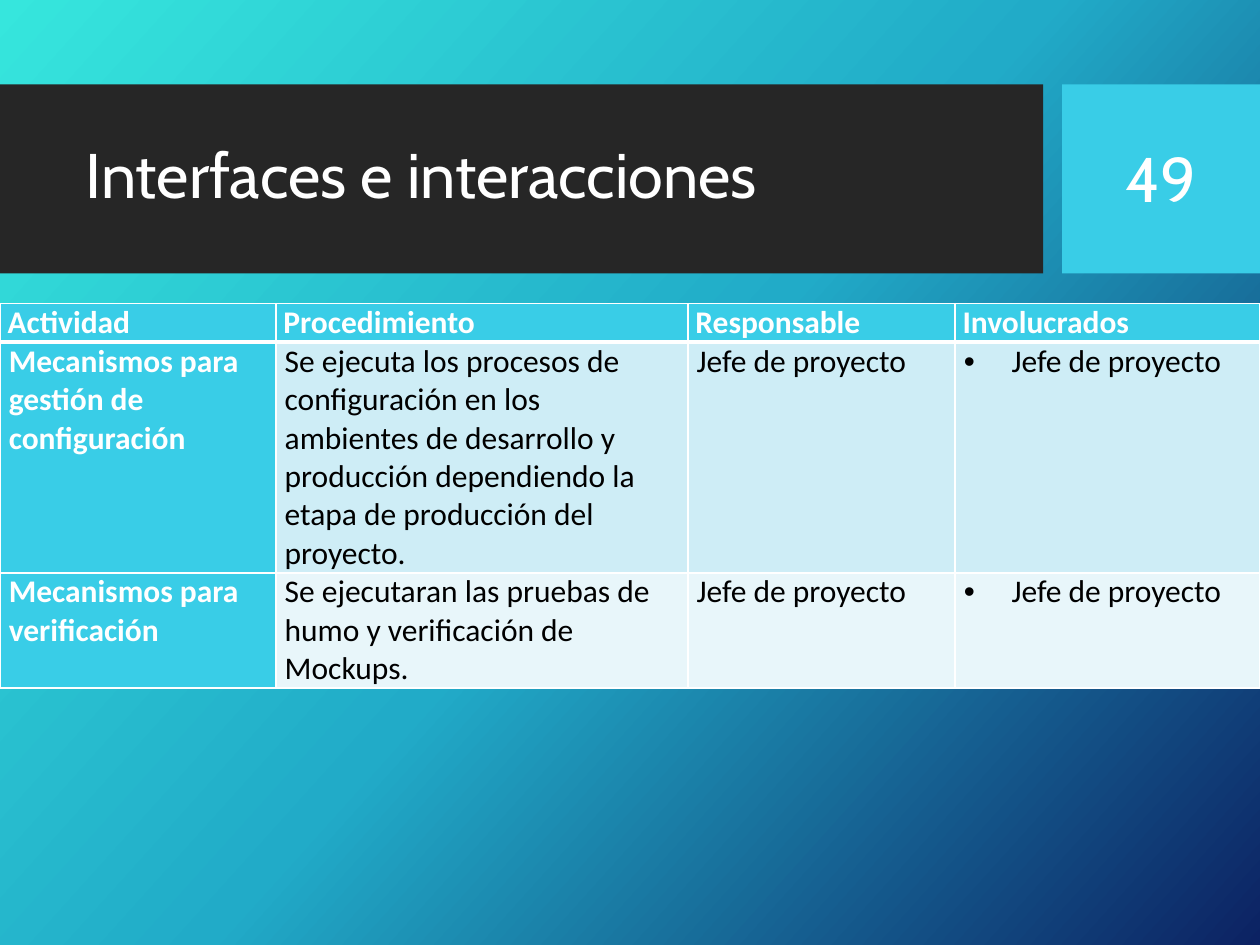
import copy
import lxml.etree
import pptx
import pptx.util
import pptx.dml.color
import pptx.enum.shapes
import pptx.enum.text
import pptx.oxml
import pptx.oxml.ns

INCH = pptx.util.Inches
qn = pptx.oxml.ns.qn
MID = pptx.enum.text.MSO_ANCHOR.MIDDLE
ALIGN = pptx.enum.text.PP_ALIGN
HUE = {"aqua": "36E6DD", "teal": "21ABC8", "navy": "0C2263", "dark": "262626",
       "cyan": "39CDE7", "pale": "CEEDF6", "mist": "E8F6FA",
       "white": "FFFFFF", "black": "000000"}


def tint(name):
    return pptx.dml.color.RGBColor.from_string(HUE[name])


def write(para, text, color, **form):
    para.text = text
    font = para.runs[0].font
    font.color.rgb = tint(color)
    for key, val in form.items():
        setattr(font, key, val)


deck = pptx.Presentation()
deck.slide_width, deck.slide_height = INCH(10), INCH(7.5)
slide = deck.slides.add_slide(deck.slide_layouts[5])

# Background: three-stop gradient
fill = slide.background.fill
fill.gradient()
fill.gradient_angle = 360 - 42
first = next(slide.element.iter(qn("a:gs")))
first.addnext(copy.deepcopy(first))
for stop, (pos, name) in zip(fill.gradient_stops,
                             [(0, "aqua"), (0.5, "teal"), (1, "navy")]):
    stop.position = pos
    stop.color.rgb = tint(name)

# Header band and number block
for left, width, name in [(0, 8.28, "dark"), (8.43, 1.57, "cyan")]:
    band = slide.shapes.add_shape(pptx.enum.shapes.MSO_SHAPE.RECTANGLE,
                                  INCH(left), INCH(0.67), INCH(width), INCH(1.5))
    band.shadow.inherit = False
    band.fill.solid()
    band.fill.fore_color.rgb = tint(name)
    band.line.fill.background()

# Title and slide number, in front of the bands
title = slide.shapes.title
slide.shapes._spTree.append(title._element)
page = slide.shapes.add_textbox(0, 0, 0, 0)
for box, left, width, text, side, gap in [
        (title, 0.58, 7.54, "Interfaces e interacciones", ALIGN.LEFT, 0.9),
        (page, 8.58, 1.27, "49", ALIGN.CENTER, 1.0)]:
    box.left, box.top = INCH(left), INCH(0.82)
    box.width, box.height = INCH(width), INCH(1.18)
    frame = box.text_frame
    frame.word_wrap = True
    frame.auto_size = pptx.enum.text.MSO_AUTO_SIZE.NONE
    frame.vertical_anchor = MID
    para = frame.paragraphs[0]
    para.alignment, para.line_spacing = side, gap
    write(para, text, "white", size=pptx.util.Pt(36), name="Cabin")

# Activity table
rows = [
    ["Actividad", "Procedimiento", "Responsable", "Involucrados"],
    ["Mecanismos para gestión de configuración",
     "Se ejecuta los procesos de configuración en los ambientes de desarrollo "
     "y producción dependiendo la etapa de producción del proyecto.",
     "Jefe de proyecto", "Jefe de proyecto"],
    ["Mecanismos para verificación",
     "Se ejecutaran las pruebas de humo y verificación de Mockups.",
     "Jefe de proyecto", "Jefe de proyecto"],
]
holder = slide.shapes.add_table(3, 4, 0, INCH(2.41), INCH(10), INCH(3))
grid = holder.table
for col, width in zip(grid.columns, [2.19, 3.27, 2.12, 2.42]):
    col.width = INCH(width)
for row, high in zip(grid.rows, [0.19, 1.45, 0.76]):
    row.height = INCH(high)
holder.height = INCH(3)

for i, row in enumerate(rows):
    for j, text in enumerate(row):
        cell = grid.cell(i, j)
        head = i == 0 or j == 0
        pad = INCH(0.06 if i == 0 else 0.07)
        for key, val in {"margin_left": pad, "margin_right": pad,
                         "margin_top": 0, "margin_bottom": 0}.items():
            setattr(cell, key, val)

        # Bullets in the last column
        para = cell.text_frame.paragraphs[0]
        if i and j == 3:
            prop = para._p.get_or_add_pPr()
            prop.set("marL", str(INCH(0.38)))
            prop.set("indent", str(-INCH(0.38)))
            lxml.etree.SubElement(prop, qn("a:buFont"), typeface="Arial")
            lxml.etree.SubElement(prop, qn("a:buChar"), char="•")
        write(para, text, "white" if head else "black", bold=head,
              size=pptx.util.Pt(18), name="Calibri")

        # White borders, thicker under the header row, then the fill
        prop = cell._tc.get_or_add_tcPr()
        for side in "LRTB":
            thick = (i, side) in [(0, "B"), (1, "T")]
            line = lxml.etree.SubElement(prop, qn("a:ln" + side),
                                         w=str(pptx.util.Pt(3 if thick else 1)))
            solid = lxml.etree.SubElement(line, qn("a:solidFill"))
            lxml.etree.SubElement(solid, qn("a:srgbClr"), val=HUE["white"])
        cell.fill.solid()
        cell.fill.fore_color.rgb = tint("cyan" if head else ["pale", "mist"][i - 1])

deck.save("out.pptx")
